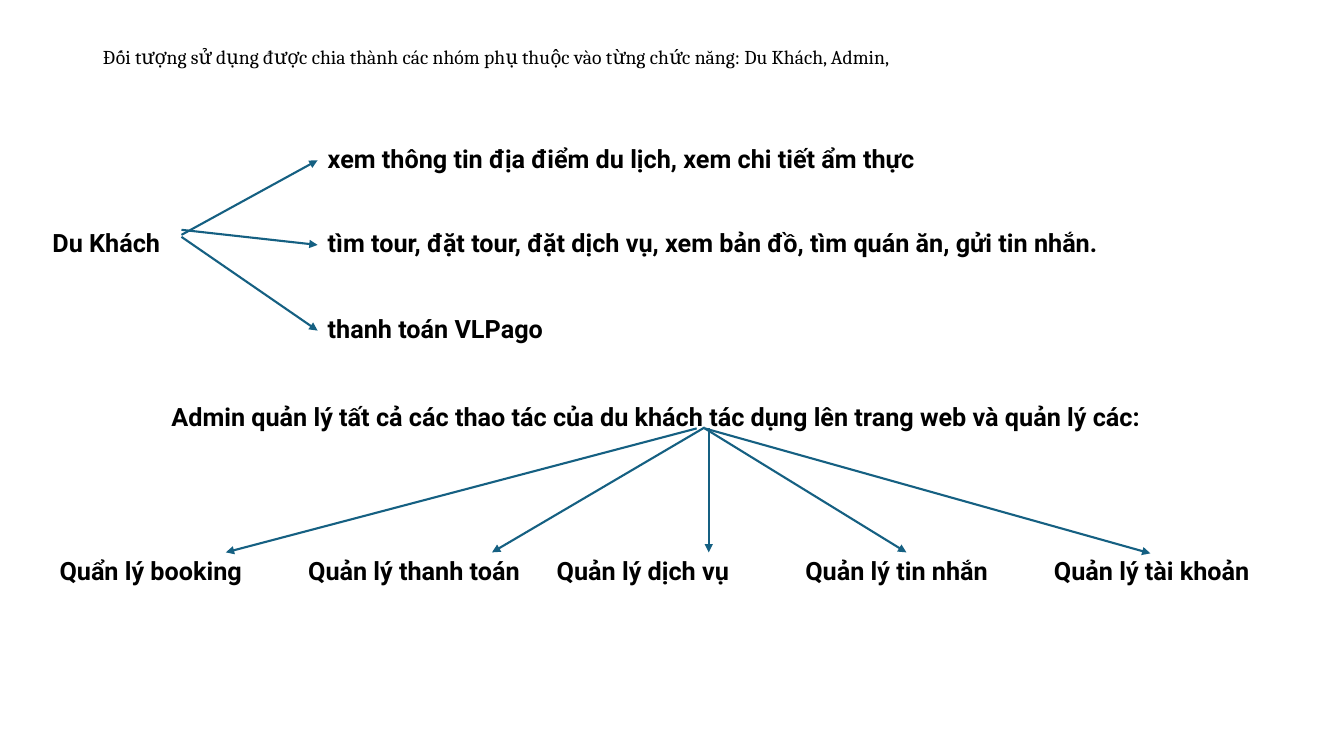
from dataclasses import dataclass

from lxml.etree import SubElement
from pptx import Presentation
from pptx.dml.color import RGBColor
from pptx.enum.shapes import MSO_CONNECTOR
from pptx.enum.text import MSO_ANCHOR
from pptx.oxml.ns import qn
from pptx.slide import Slide
from pptx.table import _Cell
from pptx.text.text import _Paragraph
from pptx.util import Inches, Pt

BLACK = "000000"
WHITE = "FFFFFF"
ARROW_BLUE = "156082"
BORDER_WIDTHS = {"a:lnL": 1, "a:lnR": 1, "a:lnT": 1, "a:lnB": 3}


@dataclass
class LabelRow:
    left: float
    top: float
    width: float
    labels: list[str]
    height: float = 0.41


@dataclass
class Arrow:
    start: tuple[float, float]
    end: tuple[float, float]


ACTION_LEFT, ACTION_WIDTH = 3.15, 8.89

LABEL_ROWS = [
    LabelRow(0.42, 2.22, 2.37, ["Du Khách"]),
    LabelRow(ACTION_LEFT, 1.39, ACTION_WIDTH,
             ["xem thông tin địa điểm du lịch, xem chi tiết ẩm thực"]),
    LabelRow(ACTION_LEFT, 2.22, ACTION_WIDTH,
             ["tìm tour, đặt tour, đặt dịch vụ, xem bản đồ, tìm quán ăn, gửi tin nhắn."]),
    LabelRow(ACTION_LEFT, 3.08, ACTION_WIDTH, ["thanh toán VLPago"]),
    LabelRow(1.6, 3.95, 11.65,
             ["Admin quản lý tất cả các thao tác của du khách tác dụng lên trang web và quản lý các:"]),
    LabelRow(0.49, 5.48, 12.33,
             ["Quẩn lý booking", "Quản lý thanh toán", "Quản lý dịch vụ",
              "Quản lý tin nhắn", "Quản lý tài khoản"], height=0.4),
]

VISITOR_ARROWS = [
    Arrow((1.8, 2.33), (ACTION_LEFT, 1.59)),
    Arrow((1.8, 2.28), (ACTION_LEFT, 2.43)),
    Arrow((1.8, 2.35), (ACTION_LEFT, 3.28)),
]
ADMIN_ARROWS = [
    Arrow((6.91, 4.25), (2.24, 5.48)),
    Arrow((6.99, 4.24), (4.88, 5.48)),
    Arrow((7.03, 4.25), (7.03, 5.48)),
    Arrow((6.99, 4.25), (8.99, 5.48)),
    Arrow((6.99, 4.25), (11.41, 5.49)),
]


def rgb(hex_color: str) -> RGBColor:
    return RGBColor.from_string(hex_color)


def add_text(paragraph: _Paragraph, text: str, font_name: str, size: int, bold: bool) -> None:
    run = paragraph.add_run()
    run.text = text
    run.font.name = font_name
    run.font.size = Pt(size)
    run.font.bold = bold
    run.font.color.rgb = rgb(BLACK)


def add_borders(cell: _Cell) -> None:
    properties = cell._tc.get_or_add_tcPr()
    for side, width in BORDER_WIDTHS.items():
        border = SubElement(properties, qn(side), w=str(Pt(width)))
        fill = SubElement(border, qn("a:solidFill"))
        SubElement(fill, qn("a:srgbClr"), val=WHITE)


def add_label_row(slide: Slide, row: LabelRow) -> None:
    table = slide.shapes.add_table(
        1, len(row.labels), Inches(row.left), Inches(row.top),
        Inches(row.width), Inches(row.height)).table
    for cell, label in zip(table.iter_cells(), row.labels):
        add_borders(cell)
        cell.fill.background()
        add_text(cell.text_frame.paragraphs[0], label, "Roboto", 18, True)


def add_arrow(slide: Slide, arrow: Arrow) -> None:
    connector = slide.shapes.add_connector(
        MSO_CONNECTOR.STRAIGHT,
        *(Inches(value) for value in (*arrow.start, *arrow.end)))
    connector.line.color.rgb = rgb(ARROW_BLUE)
    connector.line.width = Pt(1.5)
    SubElement(connector.line._get_or_add_ln(), qn("a:tailEnd"), type="triangle")
    SubElement(connector._element.spPr, qn("a:effectLst"))


def add_title(slide: Slide, text: str) -> None:
    title = slide.shapes.title
    title.left, title.top = Inches(0.92), Inches(0.4)
    title.width, title.height = Inches(11.5), Inches(0.35)
    frame = title.text_frame
    frame.word_wrap = True
    frame.vertical_anchor = MSO_ANCHOR.MIDDLE
    paragraph = frame.paragraphs[0]
    paragraph.alignment = 1
    paragraph.line_spacing = 0.9
    add_text(paragraph, text, "Cambria", 14, False)


def main() -> None:
    presentation = Presentation()
    presentation.slide_width, presentation.slide_height = Inches(13.33), Inches(7.5)
    slide = presentation.slides.add_slide(presentation.slide_layouts.get_by_name("Title Only"))
    add_title(slide, "Đối tượng sử dụng được chia thành các nhóm phụ thuộc vào "
                     "từng chức năng: Du Khách, Admin,")
    for row in LABEL_ROWS:
        add_label_row(slide, row)
    for arrow in VISITOR_ARROWS + ADMIN_ARROWS:
        add_arrow(slide, arrow)
    presentation.save("out.pptx")


if __name__ == "__main__":
    main()
